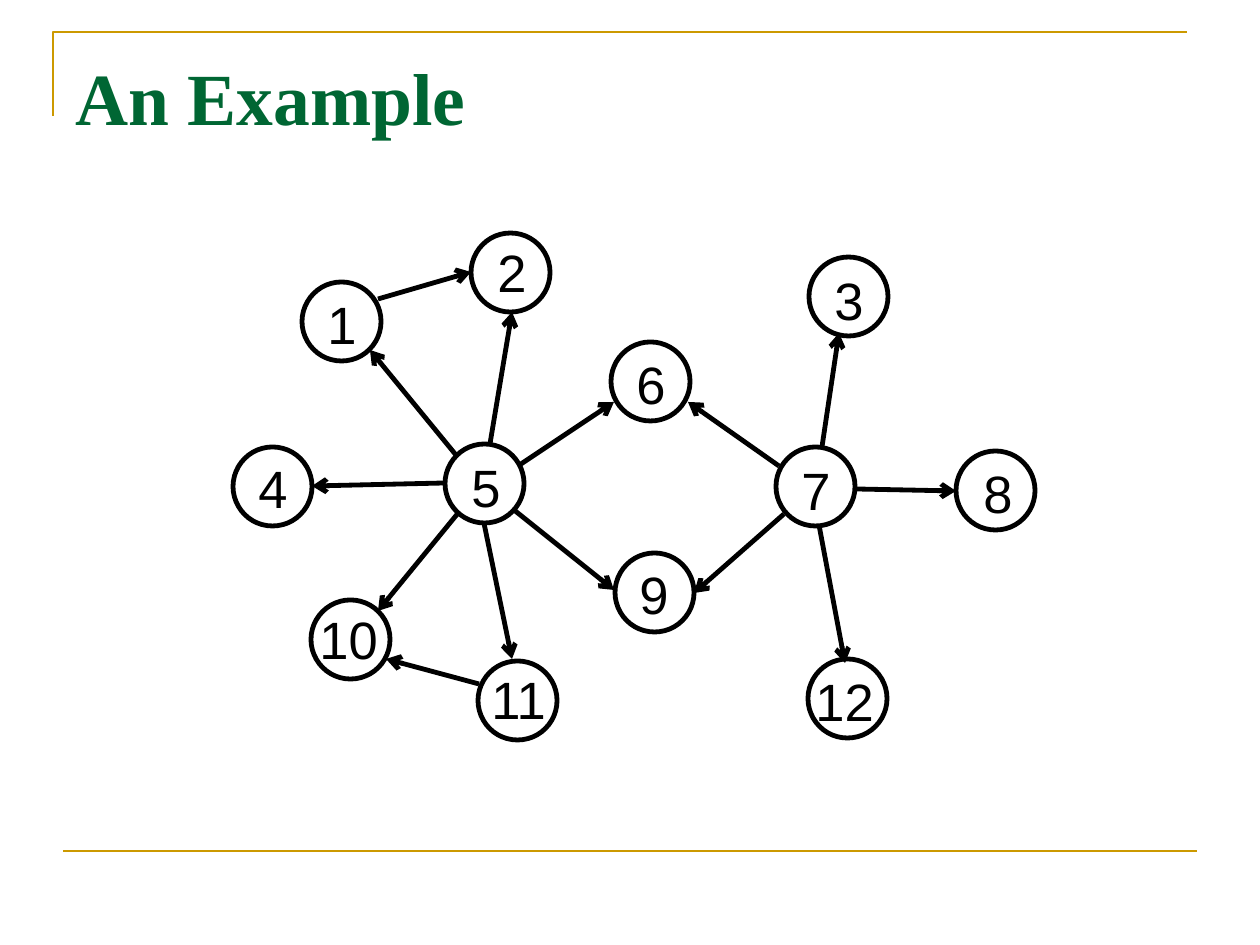
"""Builds the slide "An Example": a directed graph of twelve numbered nodes."""
from lxml.etree import SubElement
from pptx import Presentation
from pptx.dml.color import RGBColor
from pptx.enum.shapes import MSO_CONNECTOR, MSO_SHAPE
from pptx.enum.text import MSO_ANCHOR, PP_ALIGN
from pptx.oxml.ns import qn
from pptx.util import Emu, Pt

EMU_PER_PX = 914400 / 126
COLORS = {"rule": "CC9900", "title": "006633", "ink": "000000"}
NODE_SIZE = 79
LABEL_HEIGHT = 77

# number: (circle left, circle top, label left, label top, label width)
NODES = {
    1: (302, 282, 315, 286, 59),
    2: (471, 233, 485, 234, 59),
    3: (809, 257, 822, 262, 59),
    4: (233, 447, 246, 450, 59),
    5: (445, 444, 459, 449, 59),
    6: (611, 342, 624, 346, 59),
    7: (776, 447, 789, 452, 59),
    8: (956, 451, 971, 455, 59),
    9: (615, 553, 627, 556, 59),
    10: (311, 600, 307, 601, 84),
    11: (478, 661, 479, 661, 89),
    12: (808, 659, 803, 663, 84),
}

# (from node, to node): (start x, start y, end x, end y)
EDGES = {
    (5, 1): (456, 455, 370, 350),
    (5, 2): (490, 444, 512, 312),
    (5, 6): (518, 466, 614, 402),
    (5, 9): (514, 510, 614, 590),
    (5, 11): (484, 523, 512, 659),
    (5, 10): (459, 512, 378, 611),
    (5, 4): (445, 483, 312, 486),
    (11, 10): (479, 684, 386, 659),
    (1, 2): (378, 299, 471, 272),
    (7, 3): (822, 447, 839, 333),
    (7, 12): (819, 525, 845, 663),
    (7, 9): (784, 514, 694, 593),
    (7, 6): (779, 466, 688, 402),
    (7, 8): (856, 489, 956, 491),
}


def px(*lengths):
    return [Emu(round(length * EMU_PER_PX)) for length in lengths]


class GraphSlide:
    def __init__(self, slide):
        self.slide = slide
        self.shapes = slide.shapes

    def style_line(self, line, color, width):
        line.color.rgb = RGBColor.from_string(COLORS[color])
        line.width = Pt(width)

    def style_font(self, font, name, size, color, bold=False):
        font.name = name
        font.size = Pt(size)
        font.bold = bold
        font.color.rgb = RGBColor.from_string(COLORS[color])

    def title(self, text, *box):
        title = self.shapes.title
        title.left, title.top, title.width, title.height = px(*box)
        title.text_frame.text = text
        title.text_frame.vertical_anchor = MSO_ANCHOR.MIDDLE
        heading = title.text_frame.paragraphs[0]
        heading.alignment = PP_ALIGN.LEFT
        self.style_font(heading.font, "Times New Roman", 42, "title", bold=True)

    def corner(self, start, *points):
        builder = self.shapes.build_freeform(*start, scale=EMU_PER_PX)
        builder.add_line_segments(points, close=False)
        corner = builder.convert_to_shape()
        corner.shadow.inherit = False
        corner.fill.background()
        self.style_line(corner.line, "rule", 1.5)

    def line(self, *ends, color, width, arrow=False):
        connector = self.shapes.add_connector(MSO_CONNECTOR.STRAIGHT, *px(*ends))
        self.style_line(connector.line, color, width)
        properties = connector._element.spPr
        if arrow:
            SubElement(properties.find(qn("a:ln")), qn("a:tailEnd"), type="arrow")
        SubElement(properties, qn("a:effectLst"))

    def circle(self, left, top):
        circle = self.shapes.add_shape(
            MSO_SHAPE.OVAL, *px(left, top, NODE_SIZE, NODE_SIZE))
        circle.shadow.inherit = False
        circle.fill.background()
        self.style_line(circle.line, "ink", 2.75)

    def label(self, text, left, top, width):
        label = self.shapes.add_textbox(*px(left, top, width, LABEL_HEIGHT))
        label.text_frame.text = text
        self.style_font(label.text_frame.paragraphs[0].font, "Arial", 30, "ink")


def main():
    presentation = Presentation()
    presentation.slide_width, presentation.slide_height = px(1260, 945)
    graph = GraphSlide(presentation.slides.add_slide(presentation.slide_layouts[5]))

    graph.corner((53, 116), (53, 32), (1187, 32))
    graph.line(63, 851, 1197, 851, color="rule", width=1.5)
    graph.title("An Example", 63, 38, 1134, 117)

    for left, top, *_ in NODES.values():
        graph.circle(left, top)
    for number, (_, _, *label_box) in NODES.items():
        graph.label(str(number), *label_box)
    for ends in EDGES.values():
        graph.line(*ends, color="ink", width=2.75, arrow=True)

    presentation.save("out.pptx")


if __name__ == "__main__":
    main()
